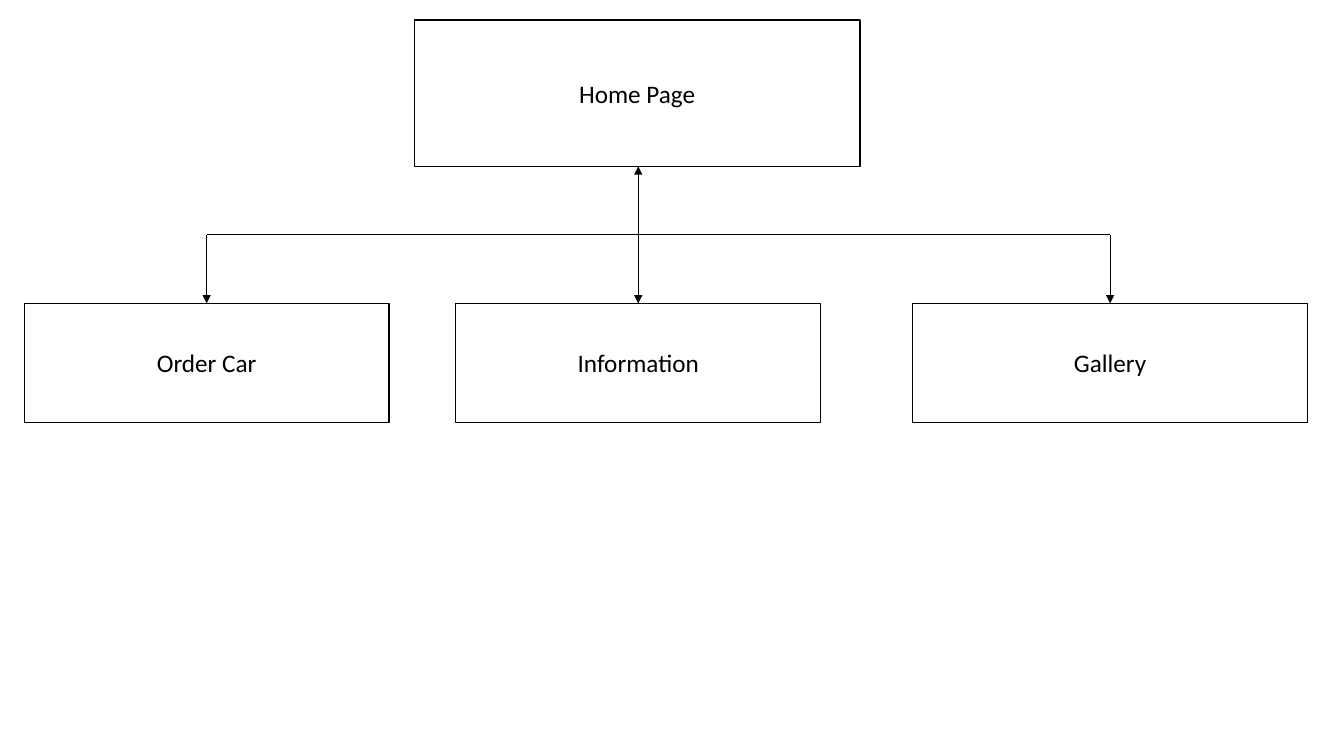
from lxml.etree import SubElement
from pptx import Presentation
from pptx.dml.color import RGBColor
from pptx.enum.shapes import MSO_CONNECTOR, MSO_SHAPE
from pptx.enum.text import MSO_ANCHOR, PP_ALIGN
from pptx.oxml.ns import qn
from pptx.util import Inches, Pt

COLORS = {"ink": "000000", "paper": "FFFFFF"}


class SiteMap:
    font = "Calibri"
    text_size = 18
    box_line = 1
    link_line = 0.5

    def __init__(self, slide):
        self.s = slide

    def color(self, name):
        return RGBColor.from_string(COLORS[name])

    def stroke(self, line, width):
        line.color.rgb = self.color("ink")
        line.width = Pt(width)

    def page(self, label, left, top, width, height):
        sp = self.s.shapes.add_shape(
            MSO_SHAPE.RECTANGLE, *map(Inches, (left, top, width, height)))
        sp.shadow.inherit = False
        sp.fill.solid()
        sp.fill.fore_color.rgb = self.color("paper")
        self.stroke(sp.line, self.box_line)
        tf = sp.text_frame
        tf.word_wrap = True
        tf.vertical_anchor = MSO_ANCHOR.MIDDLE
        p = tf.paragraphs[0]
        p.alignment = PP_ALIGN.CENTER
        r = p.add_run()
        r.text = label
        r.font.name = self.font
        r.font.size = Pt(self.text_size)
        r.font.color.rgb = self.color("ink")

    def link(self, x1, y1, x2, y2, arrow=False):
        cn = self.s.shapes.add_connector(
            MSO_CONNECTOR.STRAIGHT, *map(Inches, (x1, y1, x2, y2)))
        self.stroke(cn.line, self.link_line)
        if arrow:
            SubElement(cn.line._get_or_add_ln(), qn("a:tailEnd"), type="triangle")
        SubElement(cn._element.spPr, qn("a:effectLst"))


prs = Presentation()
prs.slide_width = Inches(13.33)
prs.slide_height = Inches(7.5)
site = SiteMap(prs.slides.add_slide(prs.slide_layouts[6]))

home_top, home_height = 0.2, 1.45
home_bottom = home_top + home_height
row_top, row_height = 3.01, 1.18
branch_y = (home_bottom + row_top) / 2
pages = [("Order Car", 0.24, 3.62), ("Information", 4.52, 3.62), ("Gallery", 9.05, 3.92)]

site.page("Home Page", 4.11, home_top, 4.42, home_height)
for label, left, width in pages:
    site.page(label, left, row_top, width, row_height)

order_x, trunk_x, gallery_x = [left + width / 2 for _, left, width in pages]
site.link(trunk_x, home_bottom, trunk_x, row_top, arrow=True)
site.link(trunk_x, row_top, trunk_x, home_bottom, arrow=True)
for x in (gallery_x, order_x):
    site.link(x, branch_y, x, row_top, arrow=True)
    site.link(min(x, trunk_x), branch_y, max(x, trunk_x), branch_y)

prs.save("out.pptx")
